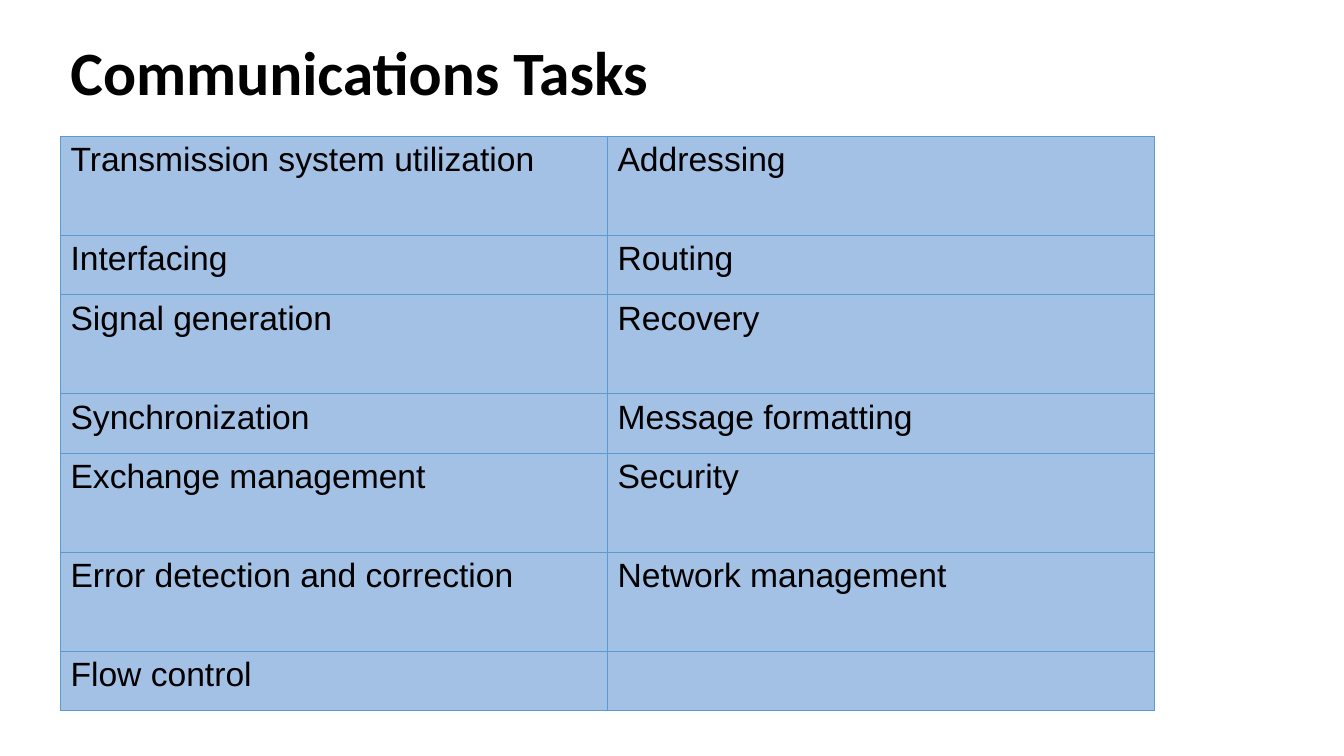
from lxml import etree
from pptx import Presentation
from pptx.dml.color import RGBColor
from pptx.enum.text import MSO_ANCHOR
from pptx.oxml.ns import qn
from pptx.util import Inches, Pt

MIDDLE = MSO_ANCHOR.MIDDLE
COLORS = {"text": "000000", "cell": "A3C0E5", "border": "5B9BD5"}
TASKS = [
    ("Transmission system utilization", "Addressing"),
    ("Interfacing", "Routing"),
    ("Signal generation", "Recovery"),
    ("Synchronization", "Message formatting"),
    ("Exchange management", "Security"),
    ("Error detection and correction", "Network management"),
    ("Flow control", ""),
]
SHORT, TALL = 7.87, 13.1
ROW_HEIGHTS = [TALL, SHORT, TALL, SHORT, TALL, TALL, SHORT]
LEFT, COL_WIDTH = 4.5, 40.7


def write(tf, text, font="Arial", size=24, bold=False, spacing=1.0):
    """Put one formatted paragraph into a text frame."""
    p = tf.paragraphs[0]
    p.line_spacing = spacing
    p.font.size = Pt(size)
    if text:
        r = p.add_run()
        r.text = text
        r.font.name, r.font.size, r.font.bold = font, Pt(size), bold
        r.font.color.rgb = RGBColor.from_string(COLORS["text"])


class Deck:
    """Hold the slide and its style, with lengths in percent of the slide."""

    def __init__(self):
        """Start a presentation with one blank slide."""
        self.prs = Presentation()
        self.prs.slide_width, self.prs.slide_height = Inches(13.33), Inches(7.5)
        self.s = self.prs.slides.add_slide(self.prs.slide_layouts[6])

    def x(self, share):
        """Turn a percentage of the width into a length."""
        return round(self.prs.slide_width * share / 100)

    def y(self, share):
        """Turn a percentage of the height into a length."""
        return round(self.prs.slide_height * share / 100)

    def title(self, text, left, top, width, height):
        """Add the bold slide title."""
        sp = self.s.shapes.add_textbox(
            self.x(left), self.y(top), self.x(width), self.y(height))
        tf = sp.text_frame
        tf.word_wrap, tf.vertical_anchor = True, MIDDLE
        write(tf, text, font="Calibri", size=44, bold=True, spacing=0.9)

    def border(self, cell):
        """Draw a thin line on every side of a cell."""
        tcPr = cell._tc.get_or_add_tcPr()
        for i, side in enumerate(("lnL", "lnR", "lnT", "lnB")):
            ln = etree.Element(qn(f"a:{side}"), w=str(Pt(0.5)))
            fill = etree.SubElement(ln, qn("a:solidFill"))
            etree.SubElement(fill, qn("a:srgbClr"), val=COLORS["border"])
            tcPr.insert(i, ln)

    def table(self, rows, heights, left, top, col_width):
        """Add a plain filled table with equal columns."""
        n_cols = len(rows[0])
        frame = self.s.shapes.add_table(
            len(rows), n_cols, self.x(left), self.y(top),
            self.x(col_width * n_cols), self.y(sum(heights)))
        table = frame.table
        table.first_row = table.horz_banding = False
        for col in table.columns:
            col.width = self.x(col_width)
        for row, height, texts in zip(table.rows, heights, rows):
            row.height = self.y(height)
            for cell, text in zip(row.cells, texts):
                cell.fill.solid()
                cell.fill.fore_color.rgb = RGBColor.from_string(COLORS["cell"])
                self.border(cell)
                write(cell.text_frame, text)


def main():
    """Build and save the slide."""
    deck = Deck()
    deck.title("Communications Tasks", LEFT, 1.6, 45.5, 16.7)
    deck.table(TASKS, ROW_HEIGHTS, LEFT, 18, COL_WIDTH)
    deck.prs.save("out.pptx")


if __name__ == "__main__":
    main()
